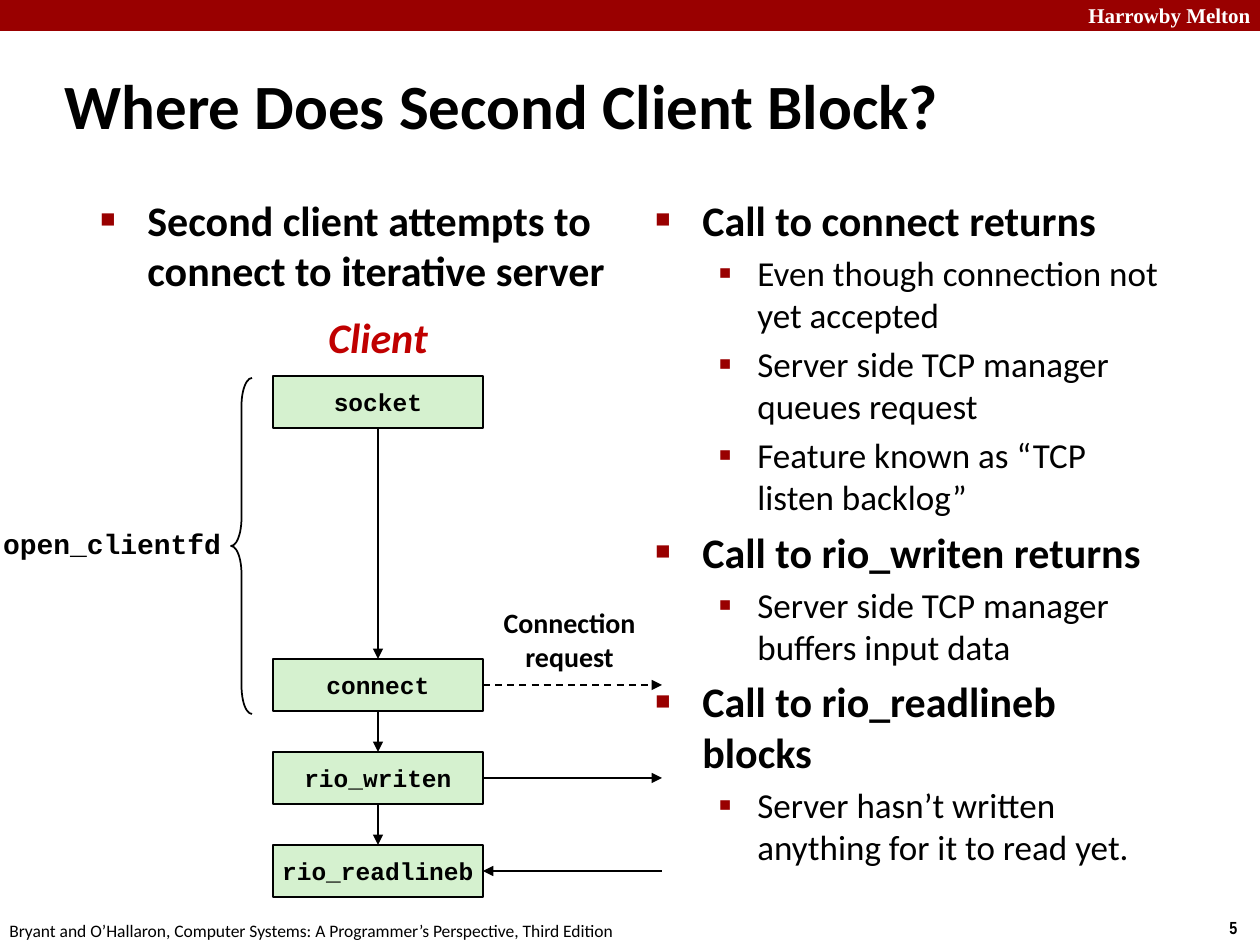
from lxml.etree import SubElement
from pptx import Presentation
from pptx.dml.color import RGBColor
from pptx.enum.dml import MSO_LINE_DASH_STYLE as DASH
from pptx.enum.shapes import MSO_CONNECTOR, MSO_SHAPE
from pptx.enum.text import MSO_ANCHOR as ANCHOR, PP_ALIGN as ALIGN
from pptx.oxml.ns import qn
from pptx.util import Emu, Pt

COLORS = {name: RGBColor.from_string(value) for name, value in {
    "band": "990000", "text": "000000", "white": "FFFFFF",
    "step": "D5F1CF", "client": "C00000"}.items()}
PX = 914400 / 126
TOP, LEFT, BOTTOM, RIGHT = range(4)
# level: size, bold, left margin and hanging indent in px, bullet, bullet size
LEVELS = [(24, True, 47, 47, "■", "60000"), (20, False, 102, 39, "▪", "110000")]


def px(*lengths):
    return [Emu(round(length * PX)) for length in lengths]


def write(frame, text, size=16, font="Calibri", color="text", bold=True, italic=False,
          align=ALIGN.LEFT, anchor=ANCHOR.TOP, wrap=False, new=False):
    """Put text in the frame, one paragraph a line; new adds to what is there."""
    frame.word_wrap = wrap
    frame.vertical_anchor = anchor
    for number, line in enumerate(text.split("\n")):
        paragraph = frame.add_paragraph() if new or number else frame.paragraphs[0]
        paragraph.alignment = align
        run = paragraph.add_run()
        run.text = line
        run.font.size, run.font.name = Pt(size), font
        run.font.bold, run.font.italic = bold, italic
        run.font.color.rgb = COLORS[color]
    return paragraph


prs = Presentation()
prs.slide_width, prs.slide_height = px(1260, 945)
slide = prs.slides.add_slide(prs.slide_layouts[5])
shapes = slide.shapes

# Header band and title
band = shapes.add_shape(MSO_SHAPE.RECTANGLE, *px(0, 0, 1260, 31))
band.shadow.inherit = False
band.fill.solid()
band.fill.fore_color.rgb = COLORS["band"]
band.line.fill.background()

title = shapes.title
title.left, title.top, title.width, title.height = px(52, 52, 1046, 105)
write(title.text_frame, "Where Does Second Client Block?", size=36,
      anchor=ANCHOR.MIDDLE, wrap=True)

# Single labels
centred = dict(align=ALIGN.CENTER, anchor=ANCHOR.MIDDLE)
labels = [
    ((963, -4, 300, 38), "Harrowby Melton",
     dict(size=12, font="Times New Roman", color="white", align=ALIGN.RIGHT, wrap=True)),
    ((1217, 911, 43, 34), "5", dict(size=10, font="Arial Narrow")),
    ((-3, 914, 640, 34),
     "Bryant and O’Hallaron, Computer Systems: A Programmer’s Perspective, Third Edition",
     dict(size=10, bold=False)),
    ((315, 305, 126, 63), "Client", dict(size=24, color="client", italic=True, **centred)),
    ((490, 599, 159, 81), "Connection\nrequest", centred),
    ((-10, 520, 244, 47), "open_clientfd", dict(font="Courier New", **centred)),
]
for place, text, style in labels:
    write(shapes.add_textbox(*px(*place)).text_frame, text, **style)

# Bulleted columns
columns = [
    ((88, 188, 533, 149), [(0, "Second client attempts to connect to iterative server")]),
    ((643, 188, 533, 685), [
        (0, "Call to connect returns"),
        (1, "Even though connection not yet accepted"),
        (1, "Server side TCP manager queues request"),
        (1, "Feature known as “TCP listen backlog”"),
        (0, "Call to rio_writen returns"),
        (1, "Server side TCP manager buffers input data"),
        (0, "Call to rio_readlineb blocks"),
        (1, "Server hasn’t written anything for it to read yet."),
    ]),
]
for place, points in columns:
    frame = shapes.add_textbox(*px(*place)).text_frame
    for number, (level, text) in enumerate(points):
        size, bold, margin, hanging, bullet, bullet_size = LEVELS[level]
        point = write(frame, text, size=size, bold=bold, wrap=True, new=number > 0)
        point.level = level
        point.space_before = Pt(size * 0.2)
        props = point._p.get_or_add_pPr()
        props.set("marL", str(px(margin)[0]))
        props.set("indent", str(px(-hanging)[0]))
        bullet_color = SubElement(props, qn("a:buClr"))
        SubElement(bullet_color, qn("a:srgbClr"), val=str(COLORS["band"]))
        SubElement(props, qn("a:buSzPct"), val=bullet_size)
        SubElement(props, qn("a:buFont"), typeface="Times New Roman")
        SubElement(props, qn("a:buChar"), char=bullet)

# Client steps
steps = {}
for call, top in [("socket", 376), ("connect", 659), ("rio_writen", 752),
                  ("rio_readlineb", 845)]:
    step = steps[call] = shapes.add_shape(MSO_SHAPE.RECTANGLE, *px(273, top, 210, 52))
    step.shadow.inherit = False
    step.fill.solid()
    step.fill.fore_color.rgb = COLORS["step"]
    step.line.color.rgb = COLORS["text"]
    step.line.width = Pt(1)
    write(step.text_frame, call, size=14, font="Courier New", **centred)

brace = shapes.add_shape(MSO_SHAPE.LEFT_BRACE, *px(231, 378, 21, 336))
brace.shadow.inherit = False
brace.adjustments[0], brace.adjustments[1] = 1.333, 0.5
brace.fill.background()
brace.line.color.rgb = COLORS["text"]
brace.line.width = Pt(1)

# Arrows: down from step to step, and to or from the server at the right.
# Each end is a (step, side) pair, or a point in px.
calls = list(steps)
arrows = [((upper, BOTTOM), (lower, TOP), None) for upper, lower in zip(calls, calls[1:])]
arrows += [
    (("connect", RIGHT), (662, 685), DASH.DASH),
    (("rio_writen", RIGHT), (662, 778), None),
    ((662, 871), ("rio_readlineb", RIGHT), None),
]
for start, end, dash in arrows:
    free_ends = [(0, 0) if spot[0] in steps else spot for spot in (start, end)]
    arrow = shapes.add_connector(MSO_CONNECTOR.STRAIGHT, *px(*free_ends[0], *free_ends[1]))
    for spot, join in [(start, arrow.begin_connect), (end, arrow.end_connect)]:
        if spot[0] in steps:
            join(steps[spot[0]], spot[1])
    arrow.line.color.rgb = COLORS["text"]
    arrow.line.width = Pt(1)
    if dash:
        arrow.line.dash_style = dash
    SubElement(arrow.line._get_or_add_ln(), qn("a:tailEnd"), type="triangle")
    SubElement(arrow._element.spPr, qn("a:effectLst"))

prs.save("out.pptx")
